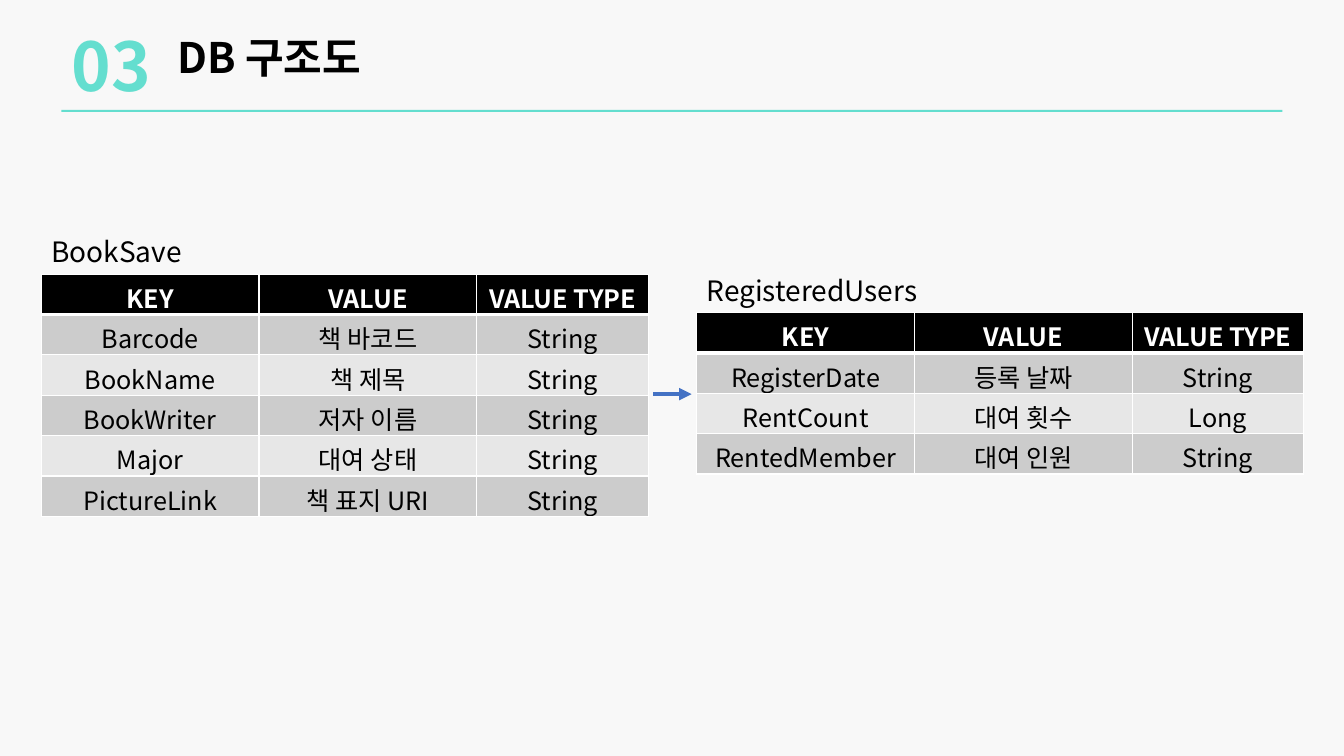
"""Build the DB structure slide with two linked key tables."""
import pptx
import pptx.dml.color
import pptx.enum.shapes
import pptx.enum.text
import pptx.oxml
import pptx.oxml.ns
import pptx.util
from pptx.util import Inches

THEME = {
    "font": "Noto Sans CJK KR",
    "page": "F8F8F8", "accent": "64DECF", "arrow": "4472C4",
    "ink": "000000", "paper": "FFFFFF", "bands": ("CCCCCC", "E7E7E7"),
    "number": 48, "title": 30, "label": 20, "cell": 18,
}

SECTION_NUMBER = "03"
TITLE = "DB 구조도"
HEADER = ("KEY", "VALUE", "VALUE TYPE")
TABLES = [
    {"name": "BookSave", "left": 0.41, "top": 2.72, "label_width": 2.13, "rows": [
        ("Barcode", "책 바코드", "String"),
        ("BookName", "책 제목", "String"),
        ("BookWriter", "저자 이름", "String"),
        ("Major", "대여 상태", "String"),
        ("PictureLink", "책 표지 URI", "String"),
    ]},
    {"name": "RegisteredUsers", "left": 6.91, "top": 3.1, "label_width": 3.1, "rows": [
        ("RegisterDate", "등록 날짜", "String"),
        ("RentCount", "대여 횟수", "Long"),
        ("RentedMember", "대여 인원", "String"),
    ]},
]
COLUMN_WIDTHS = (2.16, 2.16, 1.7)
ROW_HEIGHT = 0.4
LABEL_HEIGHT = 0.44
ARROW_GAP = 0.05
ARROW_Y = 3.91


def color(value):
    return pptx.dml.color.RGBColor.from_string(value)


def add_run(para, text, size, ink, bold=False):
    span = para.add_run()
    span.text = text
    span.font.size = pptx.util.Pt(size)
    span.font.bold = bold
    span.font.name = THEME["font"]
    span.font.color.rgb = color(ink)
    east_asian = pptx.oxml.parse_xml(
        f'<a:ea {pptx.oxml.ns.nsdecls("a")} typeface="{THEME["font"]}"/>')
    span.font._element.append(east_asian)


def add_text(page, area, text, size, ink, bold=False, wrap=True):
    box = page.shapes.add_textbox(*map(Inches, area))
    box.text_frame.word_wrap = wrap
    add_run(box.text_frame.paragraphs[0], text, size, ink, bold)


def add_borders(cell, bottom):
    properties = cell._tc.get_or_add_tcPr()
    for side, points in (("L", 1), ("R", 1), ("T", 1), ("B", bottom)):
        properties.append(pptx.oxml.parse_xml(
            f'<a:ln{side} {pptx.oxml.ns.nsdecls("a")} w="{pptx.util.Pt(points)}">'
            f'<a:solidFill><a:srgbClr val="{THEME["paper"]}"/></a:solidFill></a:ln{side}>'))


def add_key_table(page, entry):
    left, top = entry["left"], entry["top"]
    add_text(page, (left, top - LABEL_HEIGHT, entry["label_width"], LABEL_HEIGHT),
             entry["name"], THEME["label"], THEME["ink"])
    rows = [HEADER] + entry["rows"]
    table = page.shapes.add_table(
        len(rows), len(HEADER), Inches(left), Inches(top),
        Inches(sum(COLUMN_WIDTHS)), Inches(ROW_HEIGHT * len(rows))).table
    for column, width in zip(table.columns, COLUMN_WIDTHS):
        column.width = Inches(width)
    for index, values in enumerate(rows):
        table.rows[index].height = Inches(ROW_HEIGHT)
        heading = index == 0
        fill = THEME["ink"] if heading else THEME["bands"][(index - 1) % 2]
        ink = THEME["paper"] if heading else THEME["ink"]
        for column, text in enumerate(values):
            cell = table.cell(index, column)
            add_borders(cell, 3 if heading else 1)
            cell.fill.solid()
            cell.fill.fore_color.rgb = color(fill)
            cell.vertical_anchor = pptx.enum.text.MSO_ANCHOR.MIDDLE
            para = cell.text_frame.paragraphs[0]
            para.alignment = pptx.enum.text.PP_ALIGN.CENTER
            add_run(para, text, THEME["cell"], ink, heading)


def add_arrow(page):
    start = TABLES[0]["left"] + sum(COLUMN_WIDTHS) + ARROW_GAP
    end = TABLES[1]["left"] - ARROW_GAP
    arrow = page.shapes.add_connector(
        pptx.enum.shapes.MSO_CONNECTOR.STRAIGHT,
        Inches(start), Inches(ARROW_Y), Inches(end), Inches(ARROW_Y))
    arrow.line.color.rgb = color(THEME["arrow"])
    arrow.line.width = pptx.util.Pt(3)
    namespace = pptx.oxml.ns.nsdecls("a")
    arrow.line._get_or_add_ln().append(
        pptx.oxml.parse_xml(f'<a:tailEnd {namespace} type="triangle"/>'))
    arrow._element.spPr.append(pptx.oxml.parse_xml(f"<a:effectLst {namespace}/>"))


def main():
    deck = pptx.Presentation()
    deck.slide_width, deck.slide_height = Inches(13.33), Inches(7.5)
    page = deck.slides.add_slide(deck.slide_layouts[6])
    page.background.fill.solid()
    page.background.fill.fore_color.rgb = color(THEME["page"])

    rule = page.shapes.add_shape(
        pptx.enum.shapes.MSO_SHAPE.RECTANGLE, *map(Inches, (0.61, 1.09, 12.11, 0.02)))
    rule.shadow.inherit = False
    rule.fill.solid()
    rule.fill.fore_color.rgb = color(THEME["accent"])
    rule.line.fill.background()

    add_text(page, (0.61, 0.19, 5.25, 0.91), SECTION_NUMBER,
             THEME["number"], THEME["accent"], bold=True)
    add_text(page, (1.66, 0.26, 2.13, 0.61), TITLE,
             THEME["title"], THEME["ink"], bold=True, wrap=False)
    for entry in TABLES:
        add_key_table(page, entry)
    add_arrow(page)
    deck.save("out.pptx")


if __name__ == "__main__":
    main()
